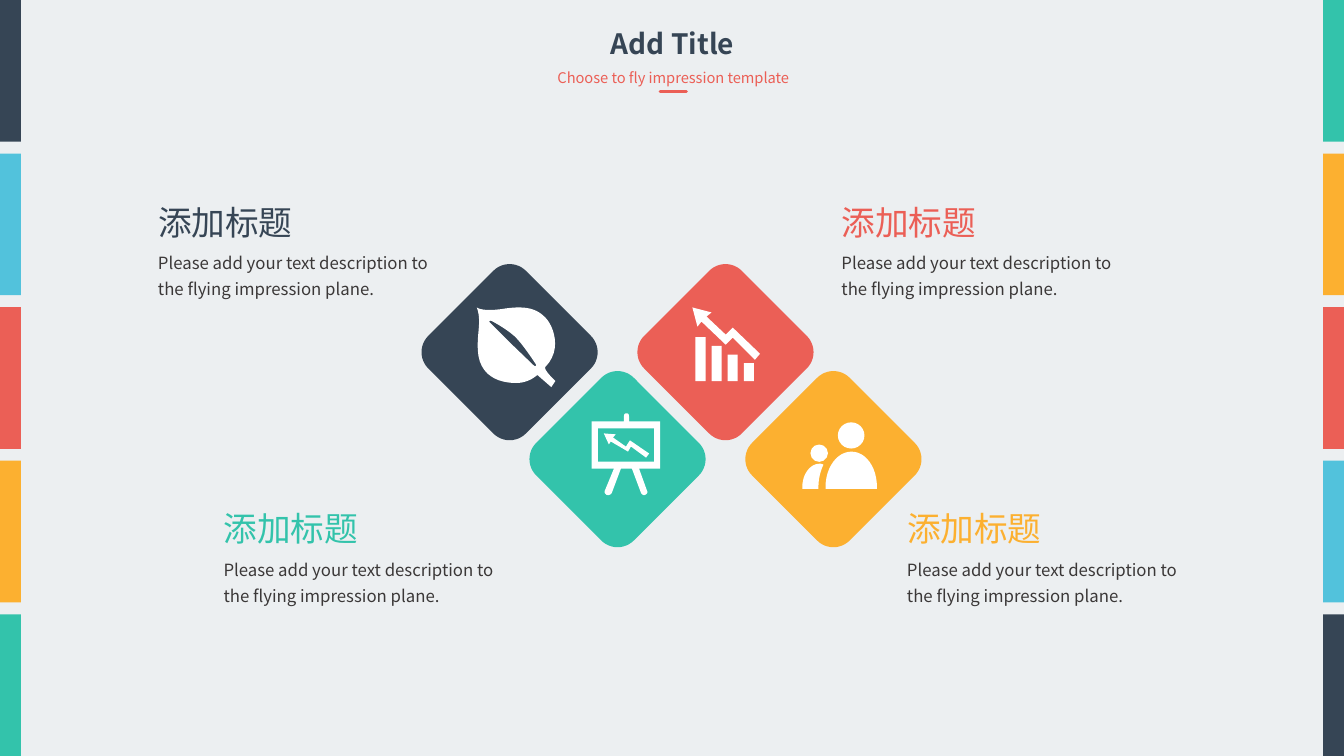
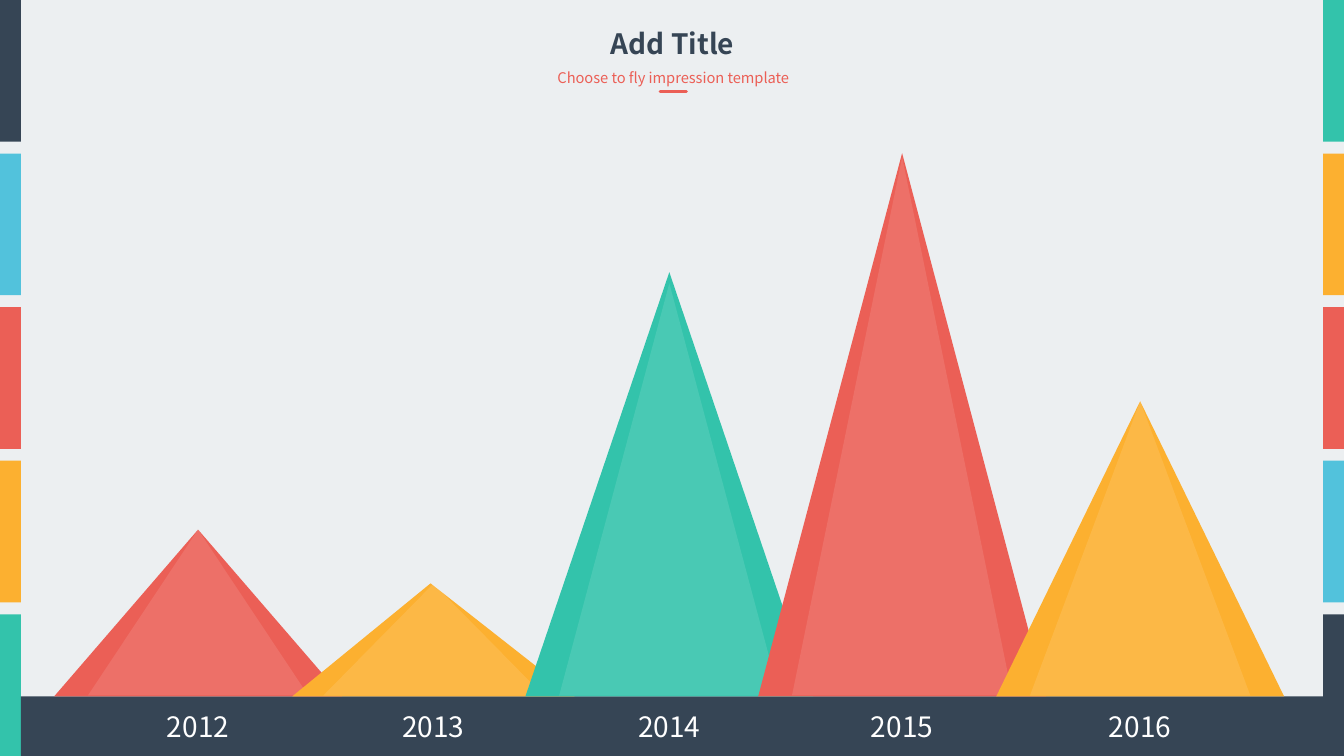
import pptx
import pptx.util
import pptx.dml.color
import pptx.enum.shapes
import pptx.enum.text
import pptx.oxml.ns
import lxml.etree

Pt = pptx.util.Pt
RGBColor = pptx.dml.color.RGBColor
KIND = pptx.enum.shapes.MSO_SHAPE
ALIGN = pptx.enum.text.PP_ALIGN
qn = pptx.oxml.ns.qn

# Style
PAPER = RGBColor(0xEC, 0xEF, 0xF1)
NAVY = RGBColor(0x36, 0x45, 0x55)
SKY = RGBColor(0x52, 0xC2, 0xDC)
RED = RGBColor(0xEB, 0x5F, 0x56)
GOLD = RGBColor(0xFC, 0xB0, 0x30)
TEAL = RGBColor(0x33, 0xC3, 0xAB)
INK = RGBColor(0x3B, 0x38, 0x38)
WHITE = RGBColor(0xFF, 0xFF, 0xFF)
FONT = "Noto Sans CJK SC"
WIDE, HIGH = 960, 540
EDGE = 15
STRIPES = [NAVY, SKY, RED, GOLD, TEAL]


def bend(start, curve, steps=12):
    """Points along a cubic curve, given as two handles and an end."""
    x1, y1, x2, y2, x3, y3 = curve
    for n in range(1, steps + 1):
        t = n / steps
        s = 1 - t
        yield tuple(s**3 * a + 3 * s * s * t * b + 3 * s * t * t * c + t**3 * d
                    for a, b, c, d in zip(start, (x1, y1), (x2, y2), (x3, y3)))


def trace(steps):
    """Outline from points (two numbers) and curves (six numbers)."""
    points = [steps[0]]
    for step in steps[1:]:
        points += bend(points[-1], step) if len(step) == 6 else [step]
    return [(Pt(x), Pt(y)) for x, y in points]


class Deck:
    def __init__(self):
        self.show = pptx.Presentation()
        self.show.slide_width, self.show.slide_height = Pt(WIDE), Pt(HIGH)
        back = self.show.slide_master.background.fill
        back.solid()
        back.fore_color.rgb = PAPER

    def page(self, title, tagline):
        """New slide with title, tagline, rule and side stripes."""
        self.slide = self.show.slides.add_slide(self.show.slide_layouts[0])
        self.shapes = self.slide.shapes
        self.place(self.shapes.title, 427, 15, 107, 32)
        self.label(self.shapes.title, title, 20, NAVY, ALIGN.CENTER, bold=True, wrap=False)
        under = self.slide.placeholders[1]
        self.place(under, 355, 42, 252, 22)
        self.label(under, tagline, 10.5, RED, ALIGN.CENTER, space=1.3)
        self.rule(471.6, 490.3, 65.5, RED)
        pitch, tall = 109.7, 101.2
        for n, (left, right) in enumerate(zip(STRIPES, reversed(STRIPES))):
            self.shape(KIND.RECTANGLE, 0, n * pitch, EDGE, tall, left)
            self.shape(KIND.RECTANGLE, WIDE - EDGE, n * pitch, EDGE, tall, right)

    def place(self, item, x, y, w, h):
        item.left, item.top, item.width, item.height = Pt(x), Pt(y), Pt(w), Pt(h)

    def label(self, item, words, size, color, align=ALIGN.LEFT, bold=False, space=1, wrap=True):
        frame = item.text_frame
        frame.word_wrap = wrap
        frame.auto_size = pptx.enum.text.MSO_AUTO_SIZE.NONE
        frame.vertical_anchor = pptx.enum.text.MSO_ANCHOR.TOP
        frame.text = words
        para = frame.paragraphs[0]
        para.alignment, para.line_spacing, para.space_before = align, space, Pt(0)
        font = para.font
        font.size, font.bold, font.name = Pt(size), bold, FONT
        font.color.rgb = color
        props = para._p.pPr.find(qn("a:defRPr"))
        lxml.etree.SubElement(props, qn("a:ea")).set("typeface", FONT)

    def text(self, x, y, w, h, words, size, color, **style):
        self.label(self.shapes.add_textbox(Pt(x), Pt(y), Pt(w), Pt(h)),
                   words, size, color, **style)

    def paint(self, item, color):
        item.shadow.inherit = False
        item.fill.solid()
        item.fill.fore_color.rgb = color
        item.line.fill.background()
        return item

    def shape(self, kind, x, y, w, h, color):
        return self.paint(self.shapes.add_shape(kind, Pt(x), Pt(y), Pt(w), Pt(h)), color)

    def draw(self, *loops):
        """White freeform; a second loop cuts a hole or adds a part."""
        first, *rest = [trace(loop) for loop in loops]
        pen = self.shapes.build_freeform(*first[0])
        pen.add_line_segments(first[1:], close=True)
        for loop in rest:
            pen.move_to(*loop[0])
            pen.add_line_segments(loop[1:], close=True)
        self.paint(pen.convert_to_shape(), WHITE)

    def rule(self, x1, x2, y, color):
        line = self.shapes.add_connector(
            pptx.enum.shapes.MSO_CONNECTOR.STRAIGHT, Pt(x1), Pt(y), Pt(x2), Pt(y))
        line.line.width = Pt(2.25)
        line.line.color.rgb = color
        props = line._element.spPr
        props.find(qn("a:ln")).set("cap", "rnd")
        lxml.etree.SubElement(props, qn("a:effectLst"))

    def peak(self, mid, top, base, half, color, tip=0.5, alpha=None):
        item = self.shape(KIND.ISOSCELES_TRIANGLE, mid - half, top, 2 * half, base - top, color)
        item.adjustments[0] = tip
        if alpha:
            tint = item._element.spPr.find(qn("a:solidFill"))[0]
            lxml.etree.SubElement(tint, qn("a:alpha")).set("val", str(alpha * 1000))


# Icons
def leaf(deck):
    deck.draw(
        [(340.6, 219.6), (340.6, 219.6, 344.2, 223.2, 361.4, 220.3),
         (376.9, 218.2, 383.8, 221, 389.5, 226.8),
         (395.3, 232.6, 401.8, 249.8, 389.5, 262.1),
         (388.1, 264.2, 396.7, 272.2, 396.7, 272.2), (393.8, 276.5), (383.8, 267.8),
         (383.8, 267.8, 378, 273.6, 368.6, 273.6),
         (356.4, 273.6, 342, 268.6, 341.3, 249.8),
         (340.6, 237.6, 344.2, 229.7, 340.6, 219.6)],
        [(349.9, 230.4), (364.3, 244.8), (381.6, 261.4), (383, 261.4), (383, 260.6),
         (383, 260.6, 374.4, 247, 367.9, 240.5),
         (360.7, 234, 350.6, 229, 350.6, 229), (349.2, 229.7)])


def board(deck):
    deck.draw(
        [(422.6, 301), (445.7, 301), (445.7, 297.4),
         (445.7, 295.9, 446.4, 295.2, 447.5, 295.2),
         (448.6, 295.2, 449.3, 295.9, 449.3, 297.4), (449.3, 301), (471.6, 301),
         (471.6, 334.8), (456.5, 334.8), (462.2, 350.6),
         (463, 351.4, 462.2, 352.8, 460.8, 353.5),
         (459.4, 353.9, 458.6, 353.2, 457.9, 352.1), (451.4, 334.8), (443.5, 334.8),
         (437, 352.1), (436.3, 353.2, 435.2, 353.9, 433.4, 353.5),
         (432, 352.8, 431.6, 351.4, 432, 350.6), (438.5, 334.8), (422.6, 334.8)],
        [(427, 306), (467.3, 306), (467.3, 329.8), (427, 329.8)])
    deck.draw([(461.5, 326.9), (450.7, 319), (448.6, 322.6), (436.3, 315.4),
               (434.9, 317.5), (431.3, 309.6), (439.9, 310.3), (437.8, 312.5),
               (447.1, 319), (450, 314.6), (463.7, 324)])


def graph(deck):
    deck.draw([(498.2, 233.3), (494.6, 219.6), (508.3, 223.2), (504.7, 226.1),
               (518.4, 239), (523.4, 234), (542.9, 252.7), (539.3, 257),
               (523.4, 241.2), (518.4, 246.2), (501.1, 229.7)])
    for n, tall in enumerate([31.4, 25.2, 19, 13]):
        deck.shape(KIND.RECTANGLE, 496.8 + 11.5 * n, 272.3 - tall, 7.2, tall, WHITE)


def people(deck):
    deck.shape(KIND.OVAL, 598.5, 301.7, 19, 18.7, WHITE)
    deck.draw([(608.2, 322.6), (618.6, 322.6, 626.4, 334, 626.4, 347.8), (626.4, 349.2),
               (589.7, 349.2), (589.7, 347.8), (589.7, 334, 597.9, 322.6, 608.2, 322.6)])
    deck.shape(KIND.OVAL, 578.9, 317.5, 12.5, 12.4, WHITE)
    deck.draw([(585.4, 331.2), (586.1, 331.2, 586.8, 331.2, 588.2, 331.9),
               (586.1, 336.2, 584.6, 342, 584.6, 347.8), (584.6, 349.2), (573.1, 349.2),
               (573.1, 347.8), (573.1, 338.4, 578.9, 331.2, 585.4, 331.2)])


def tiles(deck):
    """Four diamonds in a zigzag, each with an icon and a caption."""
    side = 98.6
    for n, (color, icon) in enumerate([(NAVY, leaf), (TEAL, board), (RED, graph), (GOLD, people)]):
        pair, low = divmod(n, 2)
        x, y = 364 + 77.1 * n, 251.6 + 76.4 * low
        tile = deck.shape(KIND.ROUNDED_RECTANGLE, x - side / 2, y - side / 2, side, side, color)
        tile.rotation = 45
        icon(deck)
        left, top = 105.8 + 488.2 * pair + 46.8 * low, 140.4 + 218.9 * low
        deck.text(left, top, 137, 36, "添加标题", 24, color)
        deck.text(left, top + 32.4, 213, 43,
                  "Please add your text description to the flying impression plane.",
                  12, INK, space=1.3)


def peaks(deck):
    """One peak per year, standing on the year band."""
    base = 497.4
    years = [  # year, middle, top, inner top, half width, tip, colour
        ("2012", 141.5, 378.3, 378.3, 102.8, 0.5, RED),
        ("2013", 309.6, 416.7, 416.9, 100.8, 0.49, GOLD),
        ("2014", 478.1, 194.4, 202.3, 102.8, 0.5, TEAL),
        ("2015", 644.4, 109.4, 112.3, 102.8, 0.5, RED),
        ("2016", 814.4, 286.6, 286.6, 102.8, 0.5, GOLD),
    ]
    deck.shape(KIND.RECTANGLE, EDGE, base, WIDE - 2 * EDGE, HIGH - base, NAVY)
    for year, mid, top, inner, half, tip, color in years:
        deck.peak(mid, top, base, half, color, tip)
        deck.peak(mid, inner, base - 0.6, 78.7, WHITE, alpha=11)
        deck.text(mid - 68.4, 503.3, 136.8, 31.7, year, 20, WHITE, align=ALIGN.CENTER)


def main():
    deck = Deck()
    for fill in (tiles, peaks):
        deck.page("Add Title", "Choose to fly impression template")
        fill(deck)
    deck.show.save("out.pptx")


if __name__ == "__main__":
    main()
